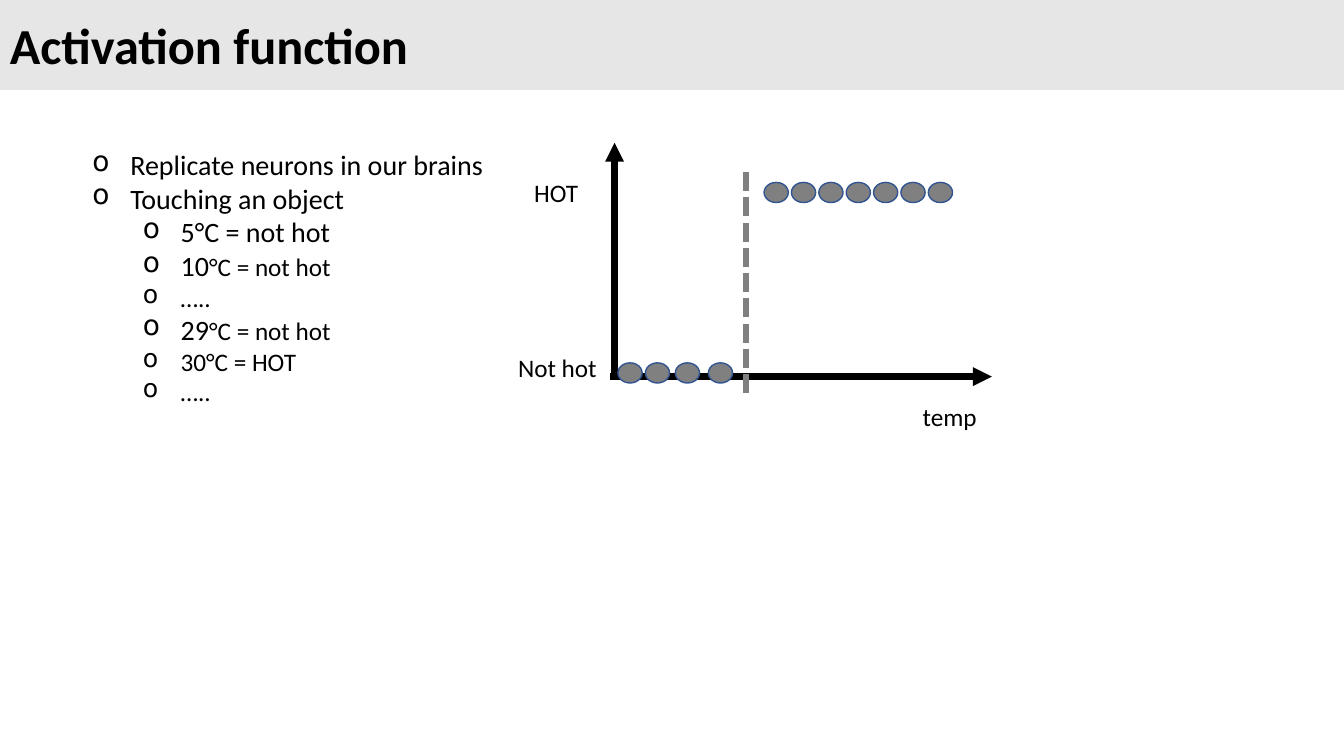
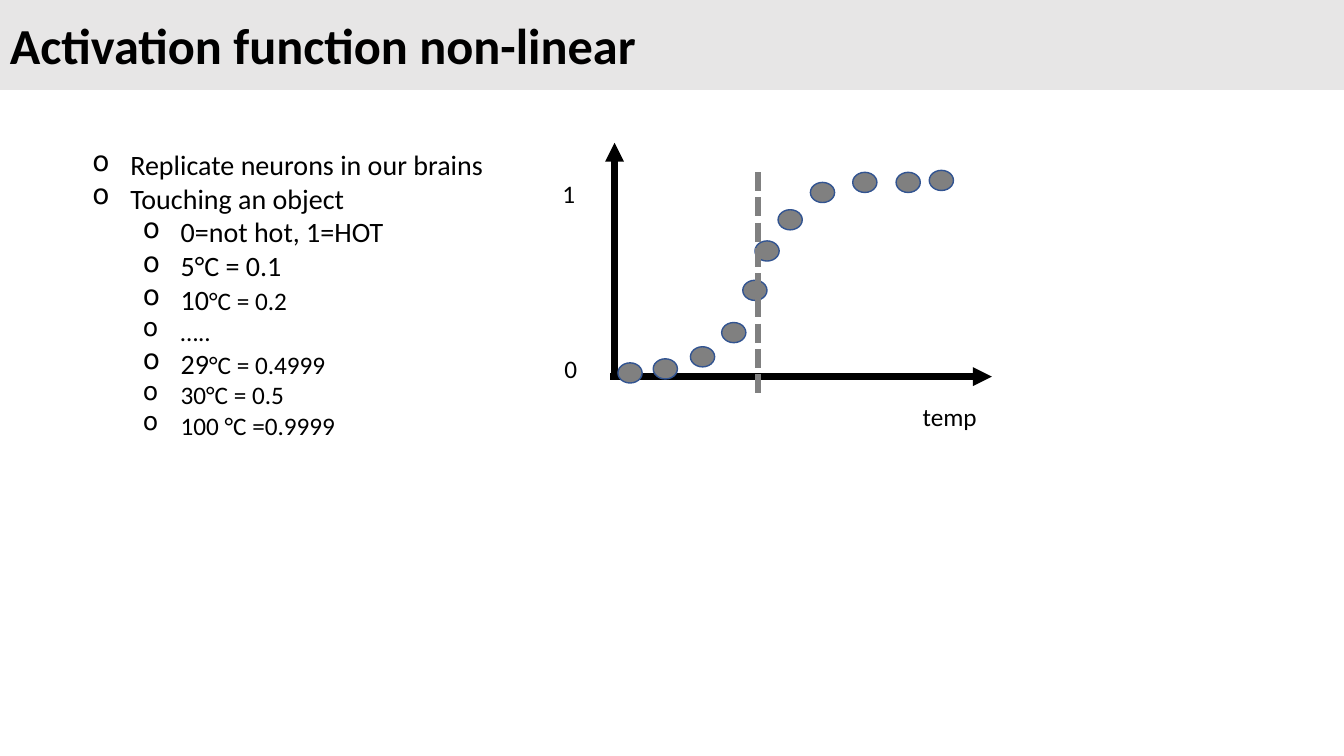
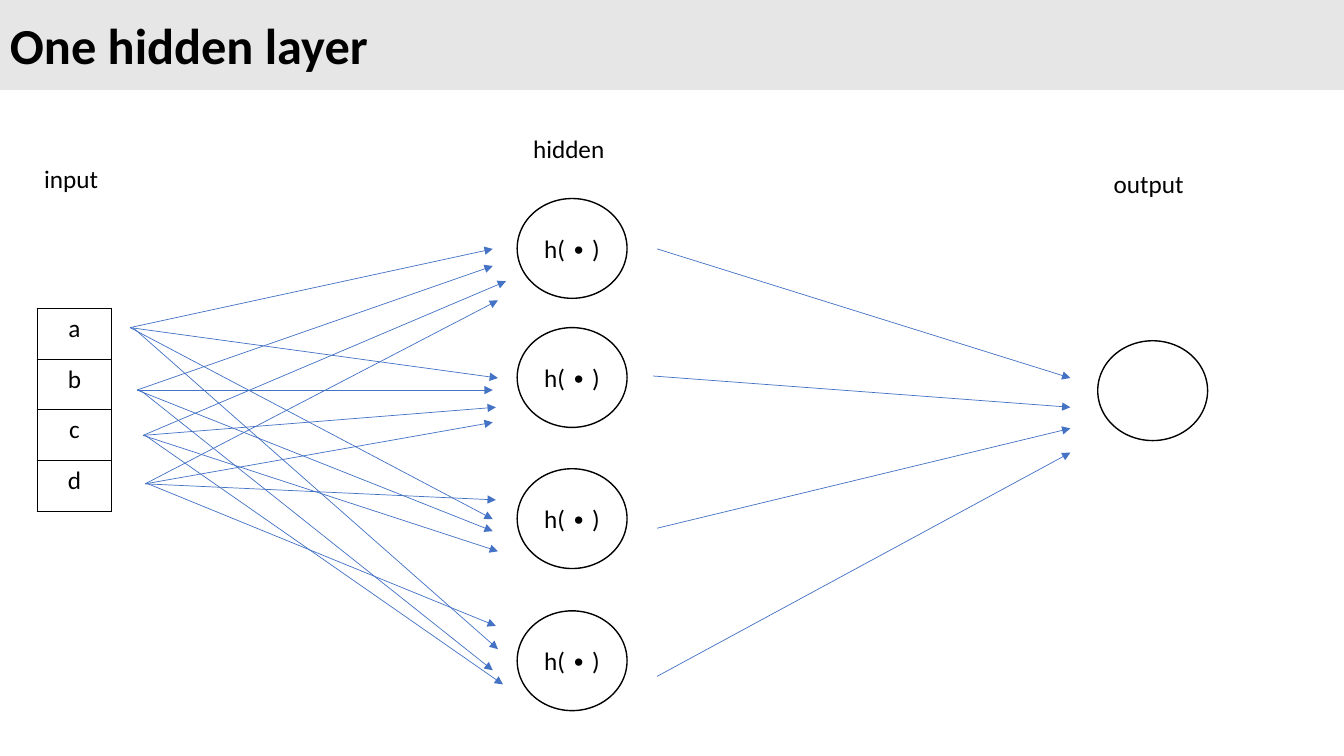
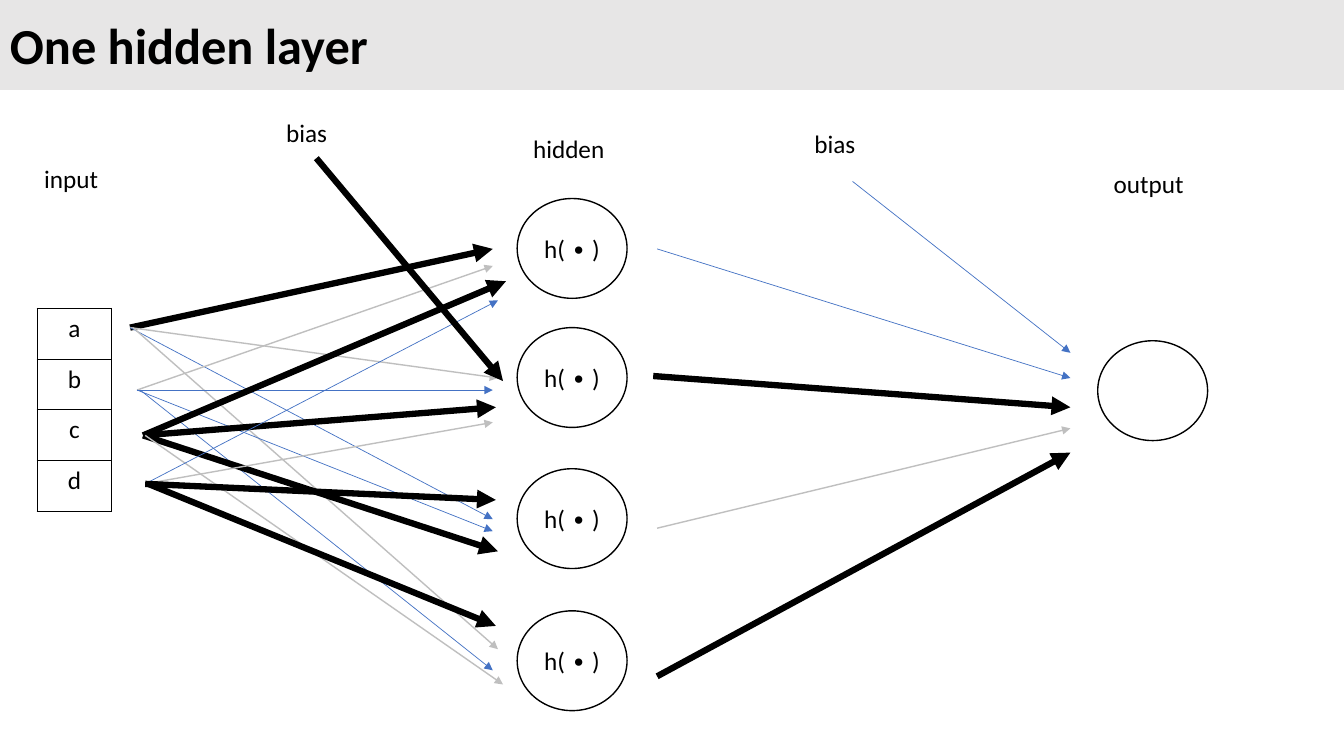
from pptx import Presentation
from pptx.dml.color import RGBColor
from pptx.enum.dml import MSO_LINE as Dash
from pptx.enum.shapes import MSO_CONNECTOR as Conn, MSO_SHAPE as Form
from pptx.enum.text import MSO_ANCHOR as Anchor, PP_ALIGN as Align
from pptx.oxml.ns import qn
from pptx.util import Pt
from lxml.etree import SubElement as Sub

BLACK, WHITE, BAND = "000000", "FFFFFF", "E7E6E6"
GREY, RIM = "808080", "325491"
TITLE = dict(name="Calibri", size=Pt(36), bold=True)
LARGE = dict(name="Calibri", size=Pt(20), bold=False)
SMALL = dict(name="Calibri", size=Pt(18), bold=False)
PENS = {"n": ("4472C4", 0.5), "w": ("BFBFBF", 1), "s": (BLACK, 4.5)}

INTRO = [(0, "Replicate neurons in our brains", ""), (0, "Touching an object", "")]
DOT = (17.3, 14.4)
PLOTS = [
    dict(
        title="Activation function",
        points=INTRO + [
            (1, "5°C = not hot", ""), (1, "10", "°C = not hot"), (1, "", "….."),
            (1, "29", "°C = not hot"), (1, "", "30°C = HOT"), (1, "", "….."),
        ],
        marks=[("Not hot", 363, 248.4), ("HOT", 374.4, 123)],
        dots=[(x, 259.2) for x in (441.4, 461, 482.4, 506)]
        + [(545.8 + 19.55 * i, 130.3) for i in range(7)],
        split=532.8,
    ),
    dict(
        title="Activation function non-linear",
        points=INTRO + [
            (1, "0=not hot, 1=HOT", ""), (1, "5°C = 0.1", ""), (1, "10", "°C = 0.2"),
            (1, "", "….."), (1, "29", "°C = 0.4999"), (1, "", "30°C = 0.5"),
            (1, "", "100 °C =0.9999"),
        ],
        marks=[("0", 396, 249), ("1", 394.6, 124)],
        dots=[
            (441.4, 259.2), (466.6, 256.3), (493.2, 247.7), (515.5, 230.4),
            (530.6, 200.2), (539.3, 172.1), (555.8, 149.8), (578.9, 130.3),
            (609.1, 123.1), (640.1, 123.1), (663.8, 121.7),
        ],
        split=541.4,
    ),
]

INPUTS = "abcd"
HEADS = [("input", 24.5, 113), ("hidden", 373.7, 91.4), ("output", 788.4, 116.6)]
NODE = (78.5, 71.3)
NODES = [(369.4, y, "h( ∙ )") for y in (141.8, 234, 334.8, 436.3)] + [(784.1, 243.4, "")]
FANS = [
    (92.9, 95, 234, [(352, 177.8), (355.7, 270), (352, 370.8), (355.7, 463.7)]),
    (97.9, 100.1, 278.6, [(352, 190), (352, 278.6), (352, 379.4), (352, 478.8)]),
    (102.2, 103.7, 311, [(361.4, 200.9), (354.2, 290.9), (355.7, 393.8), (359.3, 488.9)]),
    (103.7, 105.8, 345.6, [(355.7, 214.6), (352, 301.7), (354.2, 357.1), (354.2, 447.1)]),
]
EDGES = [
    ((last if i == 3 else x, y), end)
    for x, last, y, ends in FANS
    for i, end in enumerate(ends)
] + [
    ((469.4, 177.8), (764.6, 270)), ((466.6, 268.6), (764.6, 290.9)),
    ((469.4, 377.3), (764.6, 306)), ((469.4, 483.1), (764.6, 323.3)),
]
BIAS = [
    ((574.6, 87.8), (609, 129.6), (764.6, 252), "n"),
    ((197.3, 80), (226, 113), (359.3, 272.2), "s"),
]
NETS = [
    dict(title="One hidden layer", pens="n" * len(EDGES), bias=[]),
    dict(title="One hidden layer", pens="swnw" "wnnn" "sssw" "nwss" "nsws", bias=BIAS),
]


def tint(code):
    return RGBColor.from_string(code)


def write(par, text, style):
    run = par.add_run()
    run.text = text
    for key, val in style.items():
        setattr(run.font, key, val)
    run.font.color.rgb = tint(BLACK)


def shape(page, form, box, fill, rim):
    item = page.shapes.add_shape(form, *map(Pt, box))
    item.shadow.inherit = False
    item.fill.solid()
    item.fill.fore_color.rgb = tint(fill)
    item.line.color.rgb = tint(rim)
    item.line.width = Pt(1)
    item.text_frame.vertical_anchor = Anchor.MIDDLE
    return item


def label(page, text, x, y, wide=82):
    frame = page.shapes.add_textbox(Pt(x), Pt(y), Pt(wide), Pt(28.8)).text_frame
    frame.word_wrap = True
    write(frame.paragraphs[0], text, SMALL)


def line(page, start, end, pen, dash=None):
    item = page.shapes.add_connector(Conn.STRAIGHT, *map(Pt, start + end))
    code, width = pen
    item.line.color.rgb = tint(code)
    item.line.width = Pt(width)
    if dash:
        item.line.dash_style = dash
    else:
        Sub(item.line._get_or_add_ln(), qn("a:tailEnd"), type="triangle")
    Sub(item._element.spPr, qn("a:effectLst"))


def start(deck, title):
    page = deck.slides.add_slide(deck.slide_layouts[6])
    band = shape(page, Form.RECTANGLE, (0, 0, 960, 64), BAND, BAND)
    par = band.text_frame.paragraphs[0]
    par.alignment = Align.LEFT
    write(par, title, TITLE)
    return page


def bullets(page, points):
    frame = page.shapes.add_textbox(Pt(59), Pt(102), Pt(296), Pt(240)).text_frame
    frame.word_wrap = True
    for i, (level, big, small) in enumerate(points):
        par = frame.add_paragraph() if i else frame.paragraphs[0]
        par.level = level
        props = par._p.get_or_add_pPr()
        props.set("marL", str(Pt(27 + 36 * level)))
        props.set("indent", str(-Pt(27)))
        Sub(props, qn("a:buChar"), char="o")
        for text, style in ((big, LARGE), (small, SMALL)):
            if text:
                write(par, text, style)


def plot(deck, data):
    page = start(deck, data["title"])
    bullets(page, data["points"])
    line(page, (436, 269), (708.5, 269), PENS["s"])
    line(page, (439, 269), (439, 102), PENS["s"])
    label(page, "temp", 652, 283, 56)
    for mark in data["marks"]:
        label(page, *mark)
    for spot in data["dots"]:
        shape(page, Form.OVAL, spot + DOT, GREY, RIM)
    x = data["split"]
    line(page, (x, 123), (x, 283), (GREY, 4.5), Dash.SQUARE_DOT)


def column(page):
    table = page.shapes.add_table(
        len(INPUTS), 1, Pt(26.6), Pt(220.3), Pt(53.3), Pt(36.2 * len(INPUTS))
    ).table
    table.first_row = table.horz_banding = False
    for i, name in enumerate(INPUTS):
        cell = table.cell(i, 0)
        par = cell.text_frame.paragraphs[0]
        par.alignment = Align.CENTER
        write(par, name, SMALL)
        props = cell._tc.get_or_add_tcPr()
        for side in "LRTB":
            edge = Sub(props, qn("a:ln" + side), w=str(Pt(1)))
            Sub(Sub(edge, qn("a:solidFill")), qn("a:srgbClr"), val=BLACK)
        cell.fill.solid()
        cell.fill.fore_color.rgb = tint(WHITE)


def net(deck, data):
    page = start(deck, data["title"])
    column(page)
    for head in HEADS:
        label(page, *head)
    for x, y, text in NODES:
        frame = shape(page, Form.OVAL, (x, y) + NODE, WHITE, BLACK).text_frame
        if text:
            frame.word_wrap = False
            frame.paragraphs[0].alignment = Align.CENTER
            write(frame.paragraphs[0], text, SMALL)
    for (tail, tip), pen in zip(EDGES, data["pens"]):
        line(page, tail, tip, PENS[pen])
    for place, tail, tip, pen in data["bias"]:
        label(page, "bias", *place)
        line(page, tail, tip, PENS[pen])


def main():
    deck = Presentation()
    deck.slide_width, deck.slide_height = Pt(960), Pt(540)
    for data in PLOTS:
        plot(deck, data)
    for data in NETS:
        net(deck, data)
    deck.save("out.pptx")


if __name__ == "__main__":
    main()
